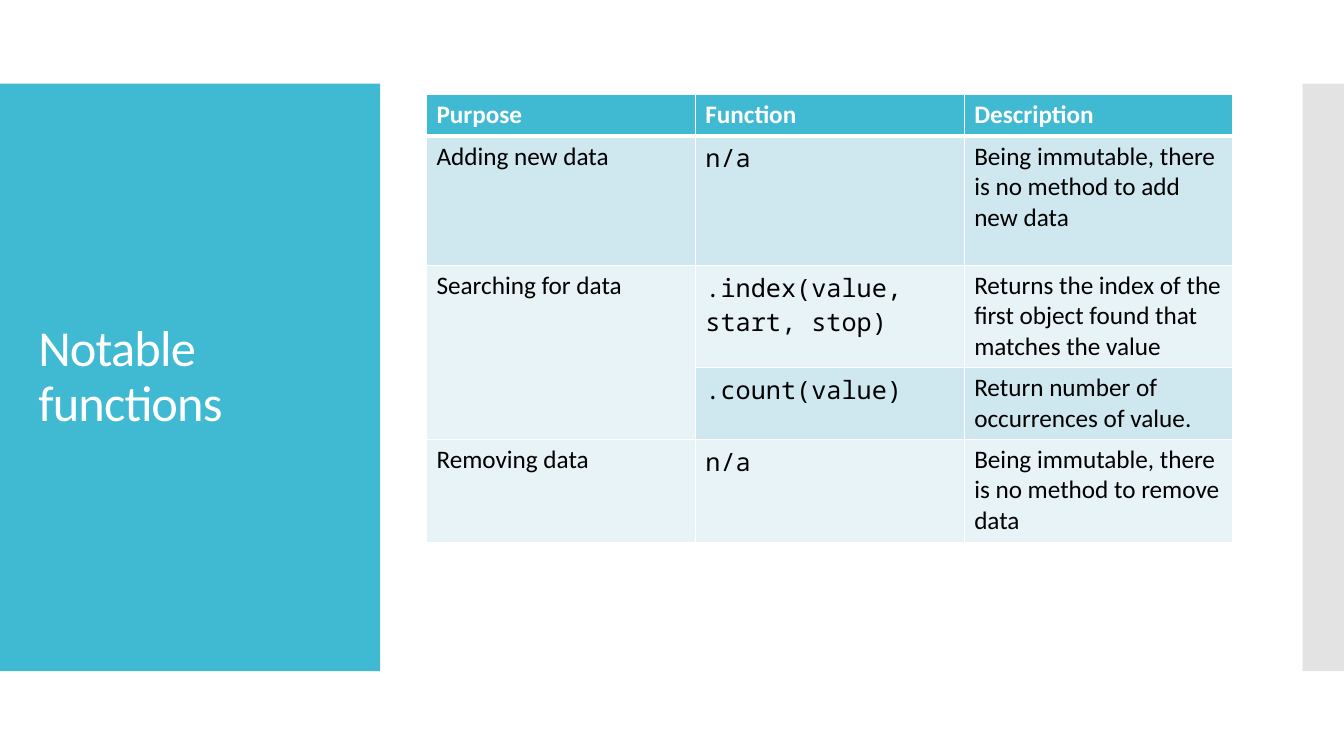
from lxml import etree
from pptx import Presentation
from pptx.dml.color import RGBColor
from pptx.enum import shapes, text
from pptx.oxml import ns
from pptx.util import Inches, Pt

TITLE = "Notable functions"
ROWS = [
    ("Purpose", "Function", "Description"),
    ("Adding new data", "n/a", "Being immutable, there is no method to add new data"),
    ("Searching for data", ".index(value, start, stop)",
     "Returns the index of the first object found that matches the value"),
    ("", ".count(value)", "Return number of occurrences of value."),
    ("Removing data", "n/a", "Being immutable, there is no method to remove data"),
]
HEIGHTS = [0.41, 1.28, 0.99, 0.69, 1.03]
WIDTH = 8
TOP, TALL = 0.83, 5.83

TEAL = RGBColor(0x40, 0xBA, 0xD2)
GREY = RGBColor(0xC8, 0xC8, 0xC8)
DARK = RGBColor(0xCF, 0xE7, 0xEE)
LIGHT = RGBColor(0xE8, 0xF3, 0xF7)
WHITE = RGBColor(0xFF, 0xFF, 0xFF)
BLACK = RGBColor(0, 0, 0)
BODY, CODE = "Calibri", "Noto Sans Mono"


def write(frame, words, size=18, color=BLACK, bold=False, face=BODY):
    para = frame.paragraphs[0]
    para.alignment = text.PP_ALIGN.LEFT
    run = para.add_run()
    run.text = words
    font = run.font
    font.size, font.bold, font.name = Pt(size), bold, face
    font.color.rgb = color
    return para, run


def panel(slide, left, width, color):
    box = slide.shapes.add_shape(shapes.MSO_SHAPE.RECTANGLE, Inches(left),
                                 Inches(TOP), Inches(width), Inches(TALL))
    box.shadow.inherit = False
    box.fill.solid()
    box.fill.fore_color.rgb = color
    box.line.fill.background()
    return box


def border(cell, **widths):
    """Draw white cell edges; widths in points are keyed L, R, T, B."""
    props = cell._tc.get_or_add_tcPr()
    for spot, (side, width) in enumerate(widths.items()):
        line = etree.Element(ns.qn("a:ln" + side), w=str(Pt(width)))
        fill = etree.SubElement(line, ns.qn("a:solidFill"))
        etree.SubElement(fill, ns.qn("a:srgbClr"), val=str(WHITE))
        props.insert(spot, line)


def add_title(slide):
    title = slide.shapes.title
    title.left, title.top = Inches(0.28), Inches(1.23)
    title.width, title.height = Inches(3.22), Inches(5.03)
    frame = title.text_frame
    frame.word_wrap = True
    frame.auto_size = text.MSO_AUTO_SIZE.NONE
    frame.vertical_anchor = text.MSO_ANCHOR.MIDDLE
    para, run = write(frame, TITLE, size=36, color=WHITE)
    para.line_spacing = 0.9
    run.font._element.set("spc", "-60")
    slide.shapes._spTree.append(title._element)  # in front of the panels


def add_grid(slide):
    grid = slide.shapes.add_table(len(ROWS), 3, Inches(4.23), Inches(0.94),
                                  Inches(WIDTH), Inches(sum(HEIGHTS))).table
    for col in grid.columns:
        col.width = Inches(WIDTH / 3)
    for r, (row, height) in enumerate(zip(ROWS, HEIGHTS)):
        grid.rows[r].height = Inches(height)
        head = r == 0
        for c, words in enumerate(row):
            cell = grid.cell(r, c)
            cell.fill.solid()
            cell.fill.fore_color.rgb = TEAL if head else DARK if r % 2 else LIGHT
            border(cell, L=1, R=1, T=3 if r == 1 else 1, B=3 if head else 1)
            if words:
                write(cell.text_frame, words, color=WHITE if head else BLACK,
                      bold=head, face=CODE if c == 1 and not head else BODY)
    grid.cell(2, 0).merge(grid.cell(3, 0))


def main():
    prs = Presentation()
    prs.slide_width, prs.slide_height = Inches(13.33), Inches(7.5)
    slide = prs.slides.add_slide(prs.slide_layouts[5])
    panel(slide, 0, 3.77, TEAL)
    strip = panel(slide, 12.92, 0.41, GREY)
    tint = strip.fill._xPr.find(".//" + ns.qn("a:srgbClr"))
    etree.SubElement(tint, ns.qn("a:alpha"), val="50000")
    add_title(slide)
    add_grid(slide)
    prs.save("out.pptx")


if __name__ == "__main__":
    main()
